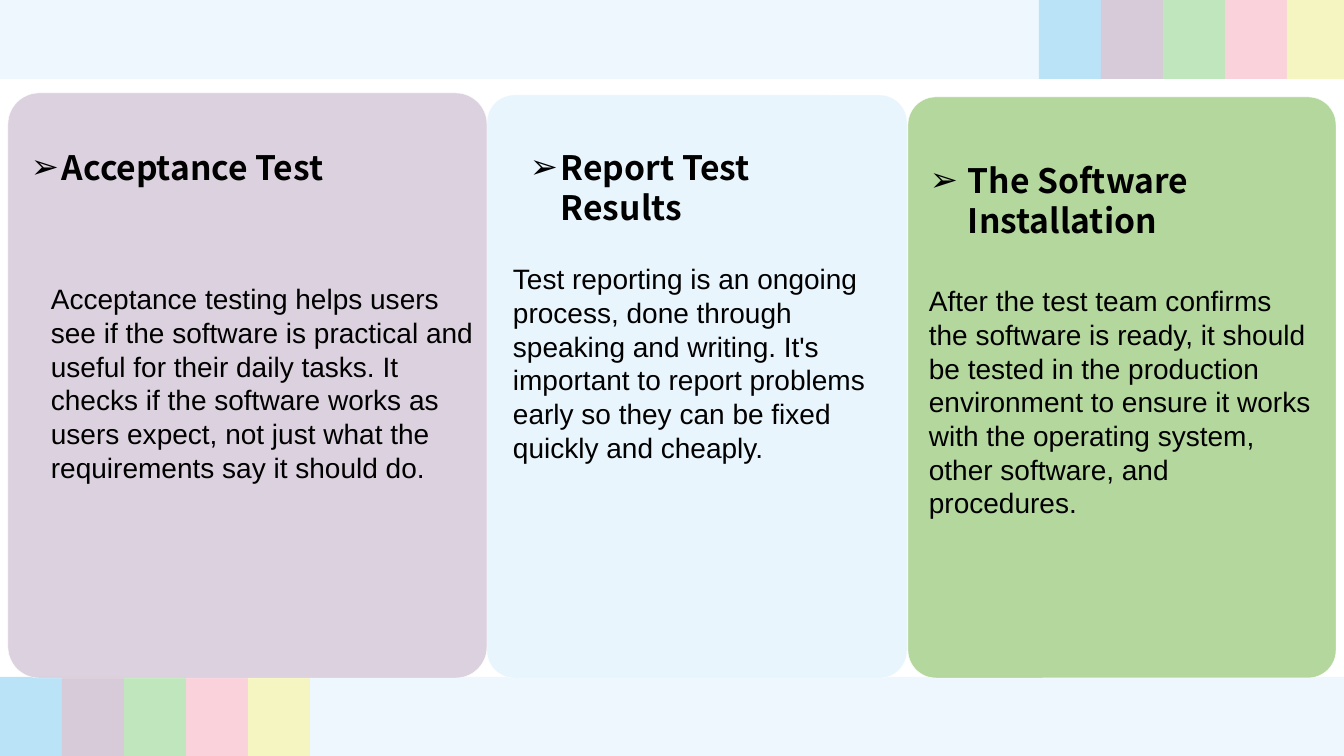
from dataclasses import dataclass
from lxml.etree import SubElement
from pptx import Presentation
from pptx.dml.color import RGBColor
from pptx.enum.shapes import MSO_SHAPE
from pptx.enum.text import MSO_ANCHOR
from pptx.oxml.ns import qn
from pptx.util import Emu, Pt


@dataclass(frozen=True)
class Theme:
    stripes: tuple = ("BAE3F8", "D7CAD9", "BFE6BC", "F9D2DC", "F5F5C1")
    band: str = "EDF7FD"
    outline: str = "FFFFFF"
    ink: str = "000000"
    heading_font: str = "Noto Sans CJK SC"
    body_font: str = "Arial"
    heading_size: int = 24
    body_size: int = 20
    card_opacity: int = 85


THEME = Theme()
EMU_PER_PX = 914400 / 100.8
SLIDE_WIDTH, SLIDE_HEIGHT = 1344, 756
STRIPE_WIDTH, BAND_WIDTH, BAND_HEIGHT = 62, 1039, 79
BULLET = "➢"

STAGES = (
    {
        "card": (8, 93, 479, 585), "colour": "D7CAD9",
        "heading": "Acceptance Test", "heading_box": (21, 122, 496, 132),
        "indent": 31, "spacing": 1.5,
        "body": "Acceptance testing helps users see if the software is practical and "
                "useful for their daily tasks. It checks if the software works as users "
                "expect, not just what the requirements say it should do.",
        "body_box": (41, 277, 446, 214),
    },
    {
        "card": (487, 95, 420, 583), "colour": "E4F4FC",
        "heading": "Report Test Results", "heading_box": (520, 142, 360, 92),
        "indent": 31, "spacing": None,
        "body": "Test reporting is an ongoing process, done through speaking and writing. "
                "It's important to report problems early so they can be fixed quickly "
                "and cheaply.",
        "body_box": (503, 257, 395, 316),
    },
    {
        "card": (908, 97, 428, 581), "colour": "A8D08C",
        "heading": "The Software Installation", "heading_box": (920, 155, 409, 92),
        "indent": 38, "spacing": None,
        "body": "After the test team confirms the software is ready, it should be tested "
                "in the production environment to ensure it works with the operating "
                "system, other software, and procedures.",
        "body_box": (919, 279, 404, 248),
    },
)


def px(length):
    return Emu(round(length * EMU_PER_PX))


def apply_format(target, values):
    for attribute, value in values.items():
        setattr(target, attribute, value)


def add_block(slide, preset, box, colour):
    block = slide.shapes.add_shape(preset, *map(px, box))
    block.shadow.inherit = False
    block.fill.solid()
    block.fill.fore_color.rgb = RGBColor.from_string(colour)
    block.line.fill.background()
    return block


def add_striped_band(slide, top, stripes_left, band_left):
    add_block(slide, MSO_SHAPE.RECTANGLE,
              (band_left, top, BAND_WIDTH, BAND_HEIGHT), THEME.band)
    for position, colour in enumerate(THEME.stripes):
        left = stripes_left + position * STRIPE_WIDTH
        add_block(slide, MSO_SHAPE.RECTANGLE,
                  (left, top, STRIPE_WIDTH, BAND_HEIGHT), colour)


def add_card(slide, box, colour):
    card = add_block(slide, MSO_SHAPE.ROUNDED_RECTANGLE, box, colour)
    card.adjustments[0] = 0.065
    card.line.color.rgb = RGBColor.from_string(THEME.outline)
    card.line.width = Pt(0.25)
    tint = card.fill._xPr.find(qn("a:solidFill"))[0]
    SubElement(tint, qn("a:alpha"), val=str(THEME.card_opacity * 1000))


def add_paragraph_box(slide, box, wording, font_format):
    frame = slide.shapes.add_textbox(*map(px, box)).text_frame
    apply_format(frame, {"word_wrap": True, "vertical_anchor": MSO_ANCHOR.TOP})
    paragraph = frame.paragraphs[0]
    run = paragraph.add_run()
    run.text = wording
    apply_format(run.font, font_format)
    run.font.color.rgb = RGBColor.from_string(THEME.ink)
    return paragraph


def add_heading(slide, box, wording, indent, spacing):
    heading = add_paragraph_box(slide, box, wording, {
        "name": THEME.heading_font, "size": Pt(THEME.heading_size), "bold": True})
    heading.line_spacing = spacing
    properties = heading._p.get_or_add_pPr()
    properties.set("marL", str(px(indent)))
    properties.set("indent", str(-px(indent)))
    SubElement(properties, qn("a:buFont"), typeface=THEME.body_font)
    SubElement(properties, qn("a:buChar"), char=BULLET)


def add_body(slide, box, wording):
    add_paragraph_box(slide, box, wording, {
        "name": THEME.body_font, "size": Pt(THEME.body_size), "bold": False})


def main():
    deck = Presentation()
    apply_format(deck, {"slide_width": px(SLIDE_WIDTH), "slide_height": px(SLIDE_HEIGHT)})
    slide = deck.slides.add_slide(deck.slide_layouts[6])
    add_striped_band(slide, 0, BAND_WIDTH, 0)
    add_striped_band(slide, SLIDE_HEIGHT - BAND_HEIGHT, 0,
                     len(THEME.stripes) * STRIPE_WIDTH)
    for stage in STAGES:
        add_card(slide, stage["card"], stage["colour"])
    for stage in STAGES:
        add_heading(slide, stage["heading_box"], stage["heading"],
                    stage["indent"], stage["spacing"])
        add_body(slide, stage["body_box"], stage["body"])
    deck.save("out.pptx")


if __name__ == "__main__":
    main()
